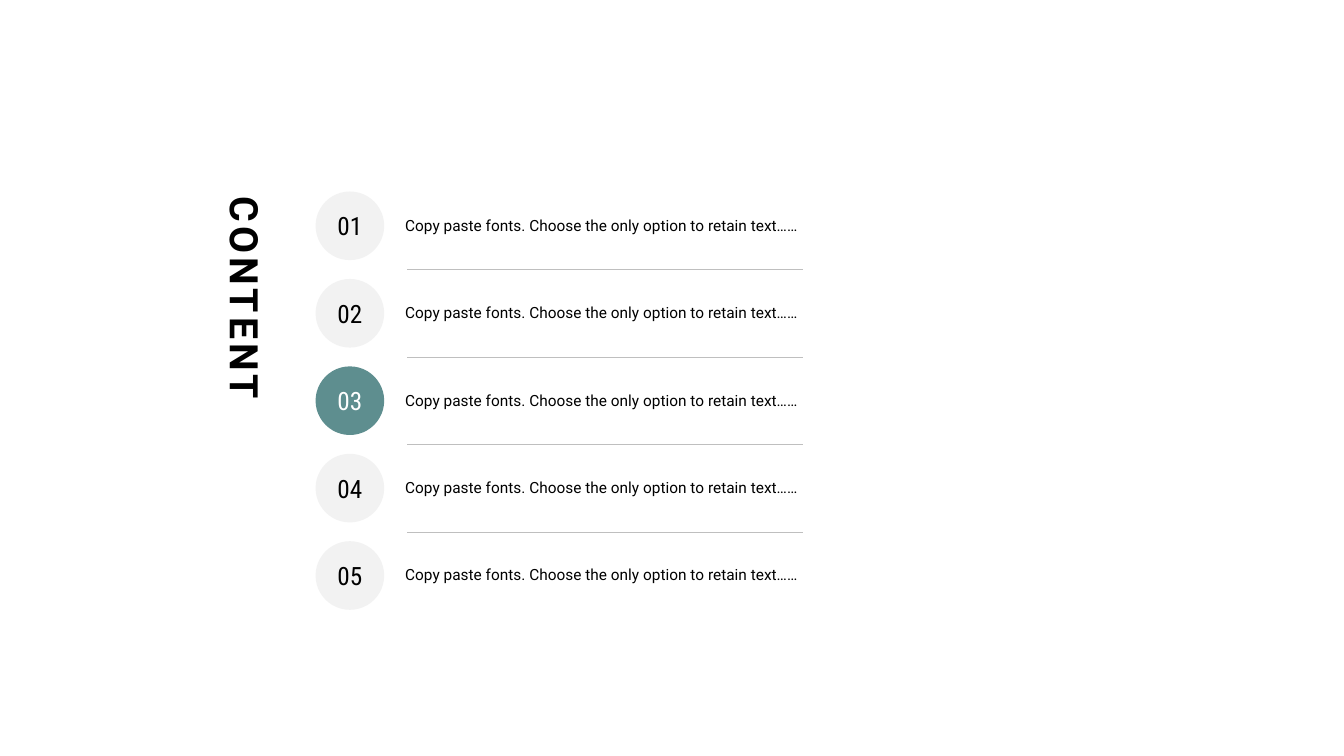
from dataclasses import dataclass

from lxml.etree import SubElement
from pptx import Presentation
from pptx.dml.color import RGBColor
from pptx.enum.shapes import MSO_CONNECTOR, MSO_SHAPE
from pptx.enum.text import MSO_ANCHOR, MSO_AUTO_SIZE, PP_ALIGN
from pptx.oxml.ns import qn
from pptx.util import Pt


@dataclass(frozen=True)
class Theme:
    ink: RGBColor = RGBColor(0, 0, 0)
    light: RGBColor = RGBColor(255, 255, 255)
    badge: RGBColor = RGBColor.from_string("F2F2F2")
    accent: RGBColor = RGBColor.from_string("5E8E8F")
    rule: RGBColor = RGBColor.from_string("BFBFBF")
    font: str = "Roboto"
    number_font: str = "Roboto Condensed"
    title_size: int = 28
    number_size: int = 18
    text_size: int = 11


theme = Theme()


def set_text(tf, text, font, size, color, bold=False):
    tf.text = text
    p = tf.paragraphs[0]
    r = p.runs[0]
    r.font.name = font
    r.font.size = Pt(size)
    r.font.bold = bold
    r.font.color.rgb = color
    return p


def add_vertical_title(slide, x, y, w, h):
    sp = slide.shapes.title
    sp.left, sp.top, sp.width, sp.height = Pt(x), Pt(y), Pt(w), Pt(h)
    tf = sp.text_frame
    p = set_text(tf, "CONTENT", theme.font, theme.title_size, theme.ink, True)
    p.alignment = PP_ALIGN.LEFT
    p.line_spacing = 1.0
    p.space_before = Pt(0)
    p.runs[0].font._element.set("spc", "300")
    tf.word_wrap = True
    tf.auto_size = MSO_AUTO_SIZE.NONE
    tf.vertical_anchor = MSO_ANCHOR.TOP
    tf._txBody.bodyPr.set("vert", "eaVert")


def add_item(slide, x, y, w, size, number, text, active):
    group = slide.shapes.add_group_shape()
    sp = group.shapes.add_shape(MSO_SHAPE.OVAL, Pt(x), Pt(y), Pt(size), Pt(size))
    sp.shadow.inherit = False
    sp.fill.solid()
    sp.fill.fore_color.rgb = theme.accent if active else theme.badge
    sp.line.fill.background()
    tf = sp.text_frame
    tf.vertical_anchor = MSO_ANCHOR.MIDDLE
    p = set_text(tf, f"{number:02d}", theme.number_font, theme.number_size,
                 theme.light if active else theme.ink)
    p.alignment = PP_ALIGN.CENTER

    text_x, text_h = 56.9, 27.4
    sp = group.shapes.add_textbox(Pt(x + text_x), Pt(y + (size - text_h) / 2 + 0.4),
                                  Pt(w - text_x), Pt(text_h))
    tf = sp.text_frame
    tf.word_wrap = True
    p = set_text(tf, text, theme.font, theme.text_size, theme.ink)
    p.line_spacing = 1.2


def add_rule(slide, x, y, w):
    line = slide.shapes.add_connector(MSO_CONNECTOR.STRAIGHT, Pt(x), Pt(y), Pt(x + w), Pt(y))
    line.line.color.rgb = theme.rule
    line.line.width = Pt(0.25)
    SubElement(line._element.spPr, qn("a:effectLst"))


def add_agenda(slide, x, y, w, h, items, active):
    size = 49
    pitch = (h - size) / (len(items) - 1)
    for i, text in enumerate(items):
        add_item(slide, x, y + i * pitch, w, size, i + 1, text, i + 1 == active)
    for i in range(1, len(items)):
        add_rule(slide, x + 65.5, y + i * pitch - (pitch - size) / 2, 283)


prs = Presentation()
prs.slide_width, prs.slide_height = Pt(960), Pt(540)
slide = prs.slides.add_slide(prs.slide_layouts[5])
add_vertical_title(slide, 52.6, 136.8, 146.9, 260.6)
add_agenda(slide, 225.4, 136.8, 377.2, 298.8,
           ["Copy paste fonts. Choose the only option to retain text……"] * 5, active=3)
prs.save("out.pptx")
